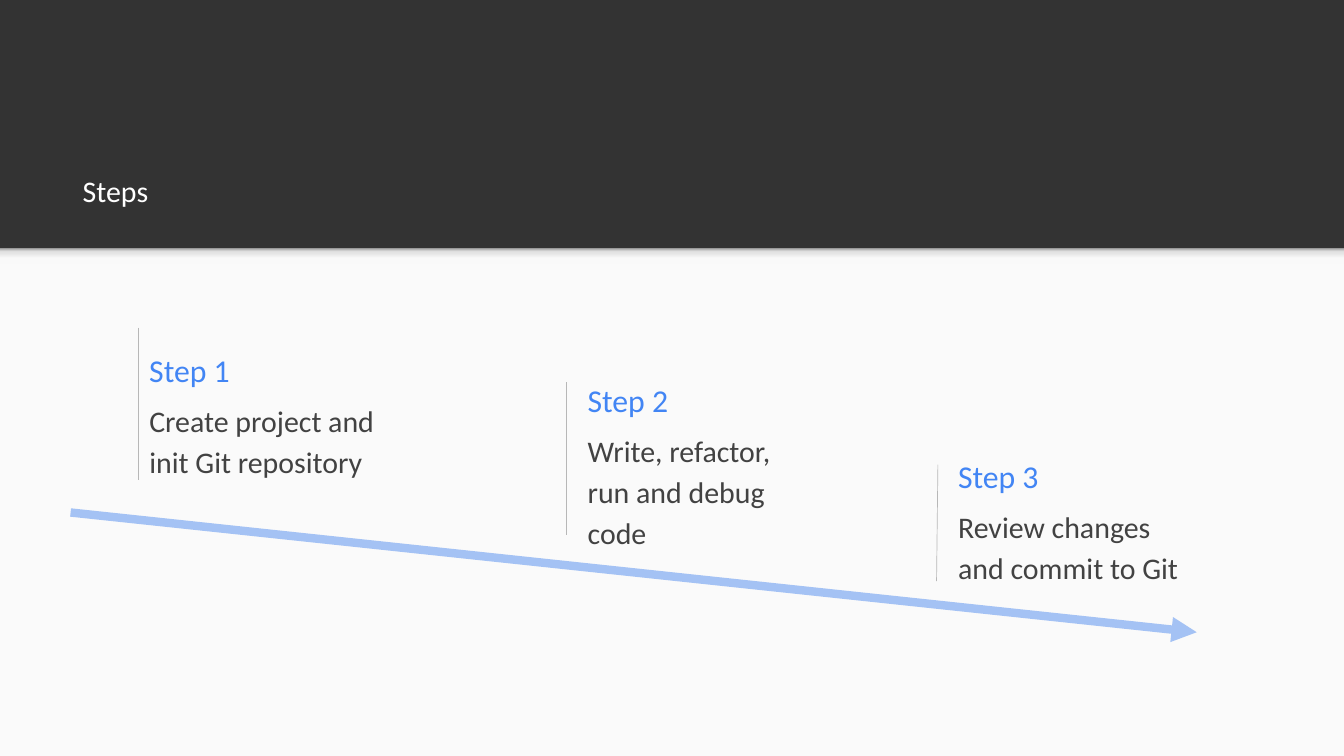
"""Build the "Steps" slide: three steps above a descending arrow."""
import copy

import pptx
import pptx.dml.color
import pptx.enum.shapes
import pptx.enum.text
import pptx.oxml.ns
import pptx.oxml.xmlchemy
import pptx.util
from lxml import etree

Inches = pptx.util.Inches
Pt = pptx.util.Pt
qn = pptx.oxml.ns.qn
ANCHOR = pptx.enum.text.MSO_ANCHOR
RECT = pptx.enum.shapes.MSO_SHAPE.RECTANGLE


def paint(color, value):
    color.rgb = pptx.dml.color.RGBColor.from_string(value)


def write(s, lines, size, color, anchor, spacing=1.0):
    tf = s.text_frame
    tf.word_wrap = True
    tf.auto_size = pptx.enum.text.MSO_AUTO_SIZE.NONE
    tf.vertical_anchor = anchor
    tf.margin_left = tf.margin_right = tf.margin_top = tf.margin_bottom = Inches(0.2)
    tf.text = lines
    for p in tf.paragraphs:
        p.alignment = pptx.enum.text.PP_ALIGN.LEFT
        p.line_spacing = spacing
        p.space_before = Pt(0)
        p.font.name = "Calibri"
        p.font.size = Pt(size)
        paint(p.font.color, color)


prs = pptx.Presentation()
prs.slide_width = Inches(19.99)
prs.slide_height = Inches(11.24)
slide = prs.slides.add_slide(prs.slide_layouts[5])
slide.background.fill.solid()
paint(slide.background.fill.fore_color, "333333")

panel = slide.shapes.add_shape(RECT, 0, Inches(3.69), Inches(19.99), Inches(7.55))
panel.fill.solid()
paint(panel.fill.fore_color, "FAFAFA")

shade = slide.shapes.add_shape(RECT, 0, Inches(3.69), Inches(19.99), Inches(0.24))
shade.fill.gradient()
shade.fill.gradient_angle = 90
stop_list = shade._element.spPr.find(qn("a:gradFill")).find(qn("a:gsLst"))
for i in range(2):
    stop_list.append(copy.deepcopy(stop_list[0]))
stops = [(0, "F9F9F9"), (0.36, "F9F9F9"), (0.8, "DEDEDE"), (1, "999999")]
for stop, (position, color) in zip(shade.fill.gradient_stops, stops):
    stop.position = position
    paint(stop.color, color)

for s in (panel, shade):
    s.shadow.inherit = False
    s.line.fill.background()

title = slide.shapes.title
title.left, title.top = Inches(1.03), Inches(1.62)
title.width, title.height = Inches(17.98), Inches(1.68)
write(title, "Steps", 32, "FFFFFF", ANCHOR.BOTTOM)

steps = [
    ("Step 1", "Create project and init Git repository", 2.02, 5.07, 3.85, 1.27),
    ("Step 2", "Write, refactor, run and debug\ncode", 8.54, 5.51, 3.59, 1.89),
    ("Step 3", "Review changes and commit to Git", 14.05, 6.64, 3.69, 1.27),
]
for name, text, x, y, width, height in steps:
    s = slide.shapes.add_textbox(Inches(x), Inches(y), Inches(3.97), Inches(0.86))
    write(s, name, 34, "4285F4", ANCHOR.MIDDLE)
    s = slide.shapes.add_textbox(Inches(x), Inches(y + 0.64), Inches(width), Inches(height))
    write(s, text, 32, "424242", ANCHOR.TOP, 1.15)

lines = [
    (2.06, 4.87, 2.06, 7.14, "B7B7B7", 0.75),
    (8.42, 5.68, 8.42, 7.95, "B7B7B7", 0.75),
    (13.95, 6.91, 13.93, 8.64, "B7B7B7", 0.75),
    (1.05, 7.62, 17.8, 9.4, "A4C2F4", 9),
]
for x1, y1, x2, y2, color, weight in lines:
    arrow = slide.shapes.add_connector(
        pptx.enum.shapes.MSO_CONNECTOR.STRAIGHT, Inches(x1), Inches(y1), Inches(x2), Inches(y2)
    )
    paint(arrow.line.color, color)
    arrow.line.width = Pt(weight)
    etree.SubElement(arrow._element.spPr, qn("a:effectLst"))
etree.SubElement(arrow.line._get_or_add_ln(), qn("a:tailEnd"), type="triangle")

prs.save("out.pptx")
